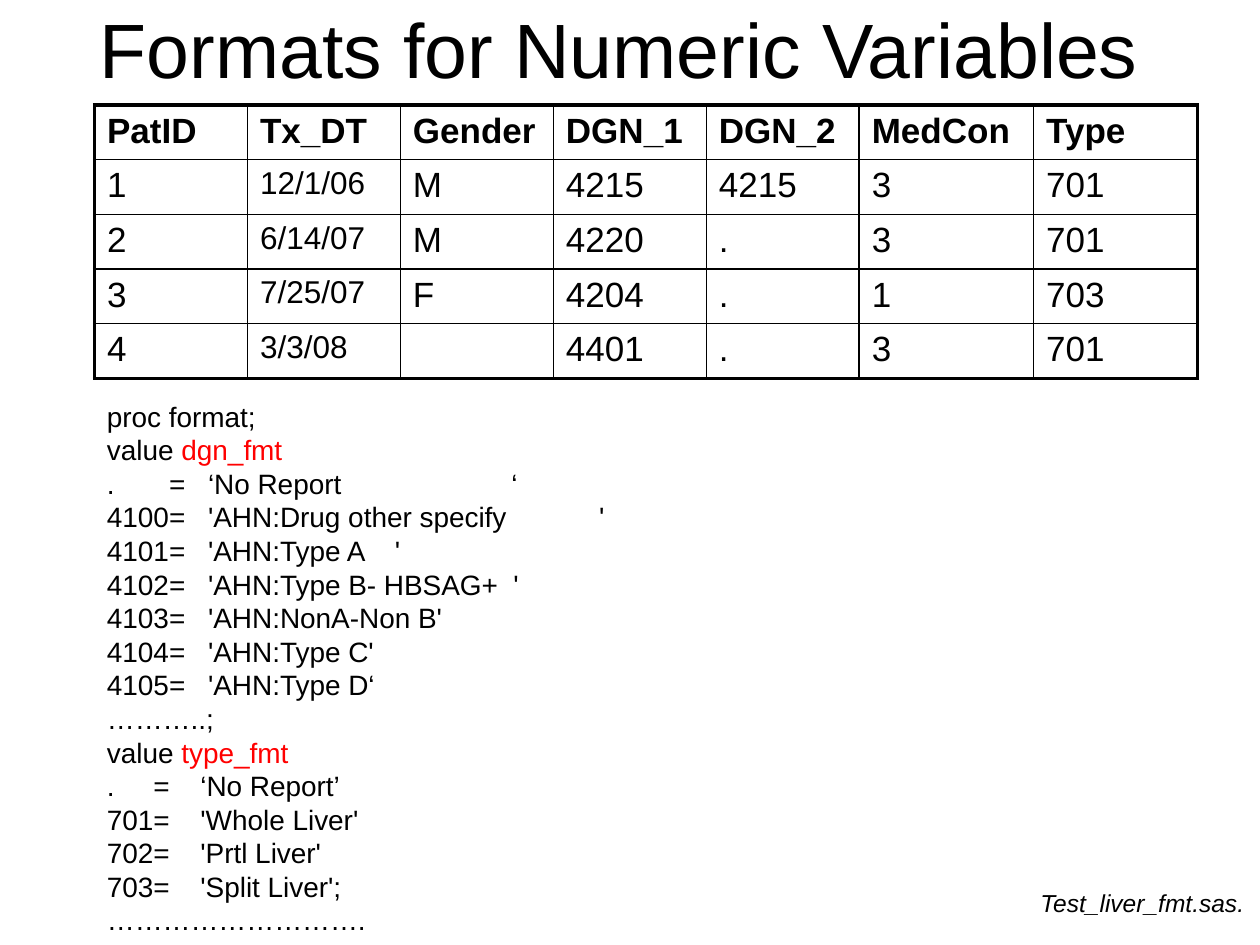
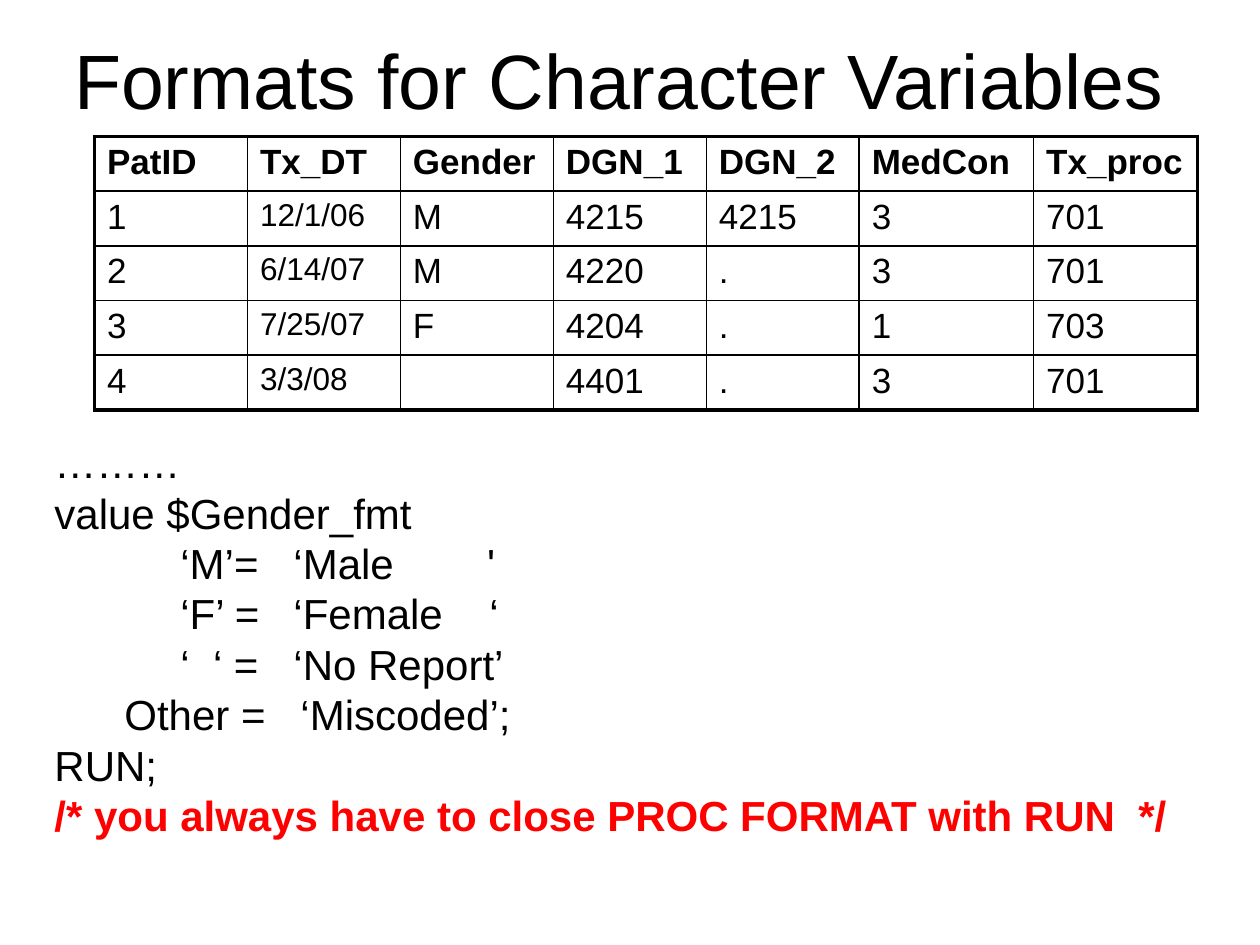
from dataclasses import dataclass

from lxml import etree
from pptx import Presentation
from pptx.dml.color import RGBColor
from pptx.enum.text import MSO_ANCHOR, MSO_AUTO_SIZE, PP_ALIGN
from pptx.oxml.ns import qn
from pptx.util import Pt

CENTER = PP_ALIGN.CENTER
MIDDLE = MSO_ANCHOR.MIDDLE
GROW = MSO_AUTO_SIZE.SHAPE_TO_FIT_TEXT


@dataclass(frozen=True)
class Theme:
    font: str = "Arial"
    ink: str = "000000"
    accent: str = "FF0000"
    title: int = 44
    cell: int = 20
    date: int = 18
    numeric_code: int = 16
    character_code: int = 24
    file_name: int = 14
    outer_line: float = 2.25
    inner_line: float = 1


THEME = Theme()
COLUMNS = [87.4] * 5 + [99.7, 93.7]
ROW_HEIGHT = 29.64
DATE_COLUMN = 1
HEADINGS = ["PatID", "Tx_DT", "Gender", "DGN_1", "DGN_2", "MedCon"]
PATIENTS = [
    ["1", "12/1/06", "M", "4215", "4215", "3", "701"],
    ["2", "6/14/07", "M", "4220", ".", "3", "701"],
    ["3", "7/25/07", "F", "4204", ".", "1", "703"],
    ["4", "3/3/08", "", "4401", ".", "3", "701"],
]

DIAGNOSIS_CODE = [
    "proc format;",
    ("value ", "dgn_fmt"),
    ".\t=\t‘No Report                      ‘",
    "4100=\t'AHN:Drug other specify            '",
    "4101=\t'AHN:Type A    '",
    "4102=\t'AHN:Type B- HBSAG+  '",
    "4103=\t'AHN:NonA-Non B'",
    "4104=\t'AHN:Type C'",
    "4105=\t'AHN:Type D‘",
    "………..;",
]
TYPE_CODE = [
    ("value ", "type_fmt"),
    ".\t=\t‘No Report’",
    "701=\t'Whole Liver'",
    "702=\t'Prtl Liver'",
    "703=\t'Split Liver';",
    "……………………….",
]
GENDER_CODE = [
    "………",
    "value $Gender_fmt",
    "\t‘M’=\t‘Male        '",
    "\t‘F’ =\t‘Female    ‘",
    "\t‘  ‘ =\t‘No Report’",
]
CLOSING_CODE = [
    "\tOther =\t‘Miscoded’;",
    "RUN;",
    ("", "/* you always have to close PROC FORMAT with RUN  */"),
]


def style_run(r, size, color=THEME.ink, bold=False, italic=False):
    r.font.name = THEME.font
    r.font.size = Pt(size)
    r.font.bold = bold
    r.font.italic = italic
    r.font.color.rgb = RGBColor.from_string(color)


def add_box(s, left, top, width, height, wrap=True):
    sp = s.shapes.add_textbox(Pt(left), Pt(top), Pt(width), Pt(height))
    sp.text_frame.word_wrap = wrap
    return sp.text_frame


def add_title(s, text, top):
    tf = add_box(s, 30, top, 648, 90)
    tf.vertical_anchor = MIDDLE
    tf.text = text
    p = tf.paragraphs[0]
    p.alignment = CENTER
    style_run(p.runs[0], THEME.title)


def add_file_name(s, text):
    tf = add_box(s, 587.5, 504, 131.8, 24.5, wrap=False)
    tf.auto_size = GROW
    tf.text = text
    style_run(tf.paragraphs[0].runs[0], THEME.file_name, italic=True)


def set_tab_stops(p, stops):
    tabs = etree.SubElement(p._p.get_or_add_pPr(), qn("a:tabLst"))
    for stop in stops:
        etree.SubElement(tabs, qn("a:tab"), pos=str(Pt(stop)), algn="l")


def add_code(s, box, size, sections, bold_accent=False):
    tf = add_box(s, *box)
    tf.auto_size = GROW
    lines = [(line, stops) for stops, section in sections for line in section]
    for i, (line, stops) in enumerate(lines):
        p = tf.add_paragraph() if i else tf.paragraphs[0]
        plain, accent = (line, "") if isinstance(line, str) else line
        if plain:
            p.text = plain
            style_run(p.runs[0], size)
        if accent:
            r = p.add_run()
            r.text = accent
            style_run(r, size, THEME.accent, bold=bold_accent)
        if "\t" in plain:
            set_tab_stops(p, stops)


def set_borders(cell, outer_sides):
    tcPr = cell._tc.get_or_add_tcPr()
    for i, side in enumerate("LRTB"):
        width = THEME.outer_line if side in outer_sides else THEME.inner_line
        ln = etree.Element(qn(f"a:ln{side}"), w=str(Pt(width)))
        fill = etree.SubElement(ln, qn("a:solidFill"))
        etree.SubElement(fill, qn("a:srgbClr"), val=THEME.ink)
        tcPr.insert(i, ln)


def add_patient_table(s, last_heading, top):
    rows = [HEADINGS + [last_heading]] + PATIENTS
    last_row, last_col = len(rows) - 1, len(COLUMNS) - 1
    table = s.shapes.add_table(len(rows), len(COLUMNS), Pt(54), Pt(top),
                               Pt(sum(COLUMNS)), Pt(ROW_HEIGHT * len(rows))).table
    table.first_row = table.horz_banding = False
    for column, width in zip(table.columns, COLUMNS):
        column.width = Pt(width)
    for i, values in enumerate(rows):
        table.rows[i].height = Pt(ROW_HEIGHT)
        for j, value in enumerate(values):
            cell = table.cell(i, j)
            cell.text = value
            cell.fill.background()
            size = THEME.date if i and j == DATE_COLUMN else THEME.cell
            for r in cell.text_frame.paragraphs[0].runs:
                style_run(r, size, bold=i == 0)
            edges = {"L": j == 0, "R": j == last_col, "T": i == 0, "B": i == last_row}
            set_borders(cell, [side for side, outer in edges.items() if outer])


def add_format_slide(prs, title, title_top, table_top, last_heading):
    s = prs.slides.add_slide(prs.slide_layouts[6])
    add_title(s, title, title_top)
    add_patient_table(s, last_heading, table_top)
    return s


def main():
    prs = Presentation()
    prs.slide_width, prs.slide_height = Pt(720), Pt(540)

    s = add_format_slide(prs, "Formats for Numeric Variables", -18, 60, "Type")
    add_code(s, (54, 224.6, 384, 315.4), THEME.numeric_code,
             [((35.5, 57.8), DIAGNOSIS_CODE), ((26.5, 53.4), TYPE_CODE)])
    add_file_name(s, "Test_liver_fmt.sas.")

    s = add_format_slide(prs, "Formats for Character Variables", 0, 78, "Tx_proc")
    add_code(s, (24, 246, 696, 240), THEME.character_code,
             [((72, 136.6), GENDER_CODE), ((40, 140.6), CLOSING_CODE)],
             bold_accent=True)

    prs.save("out.pptx")


if __name__ == "__main__":
    main()
